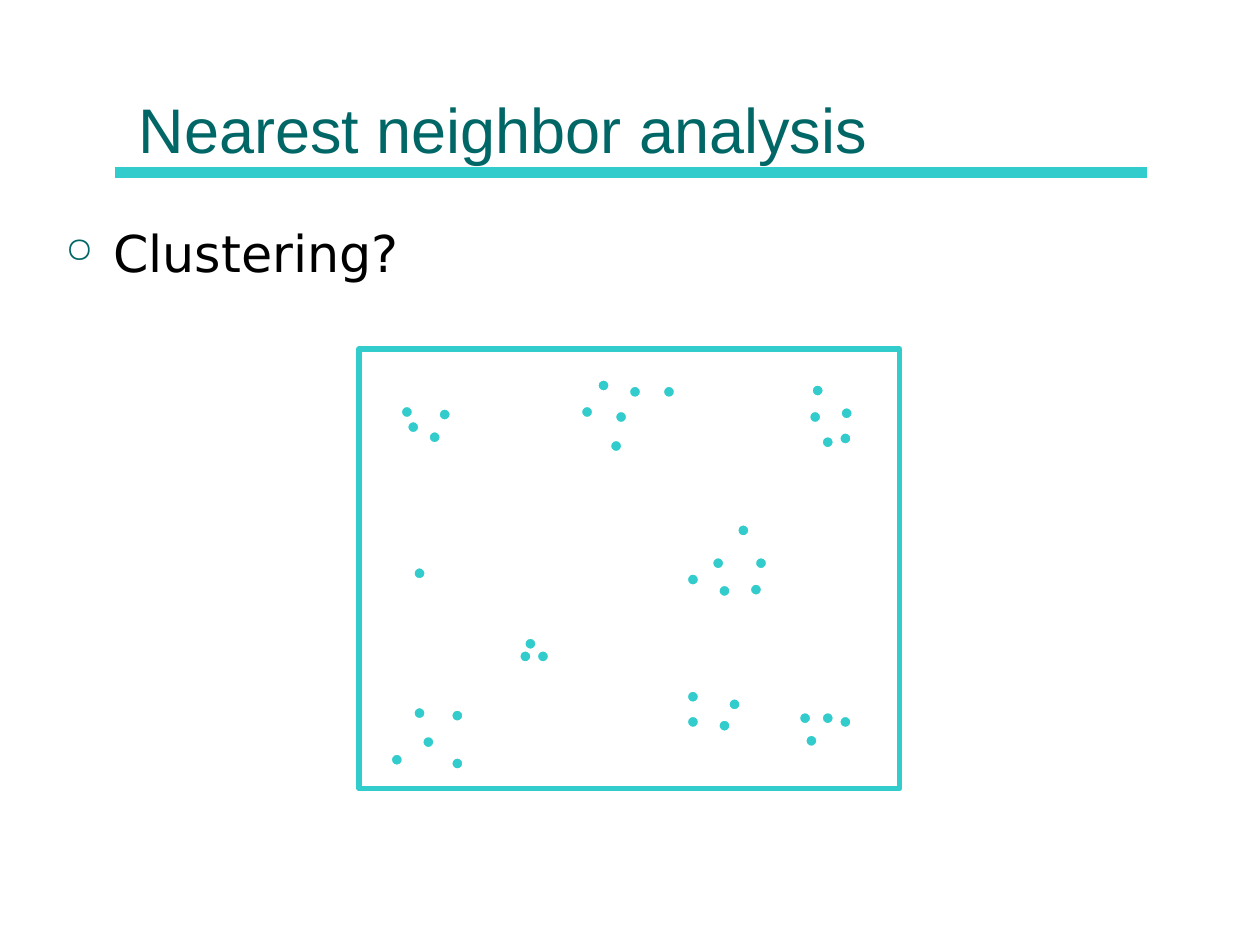
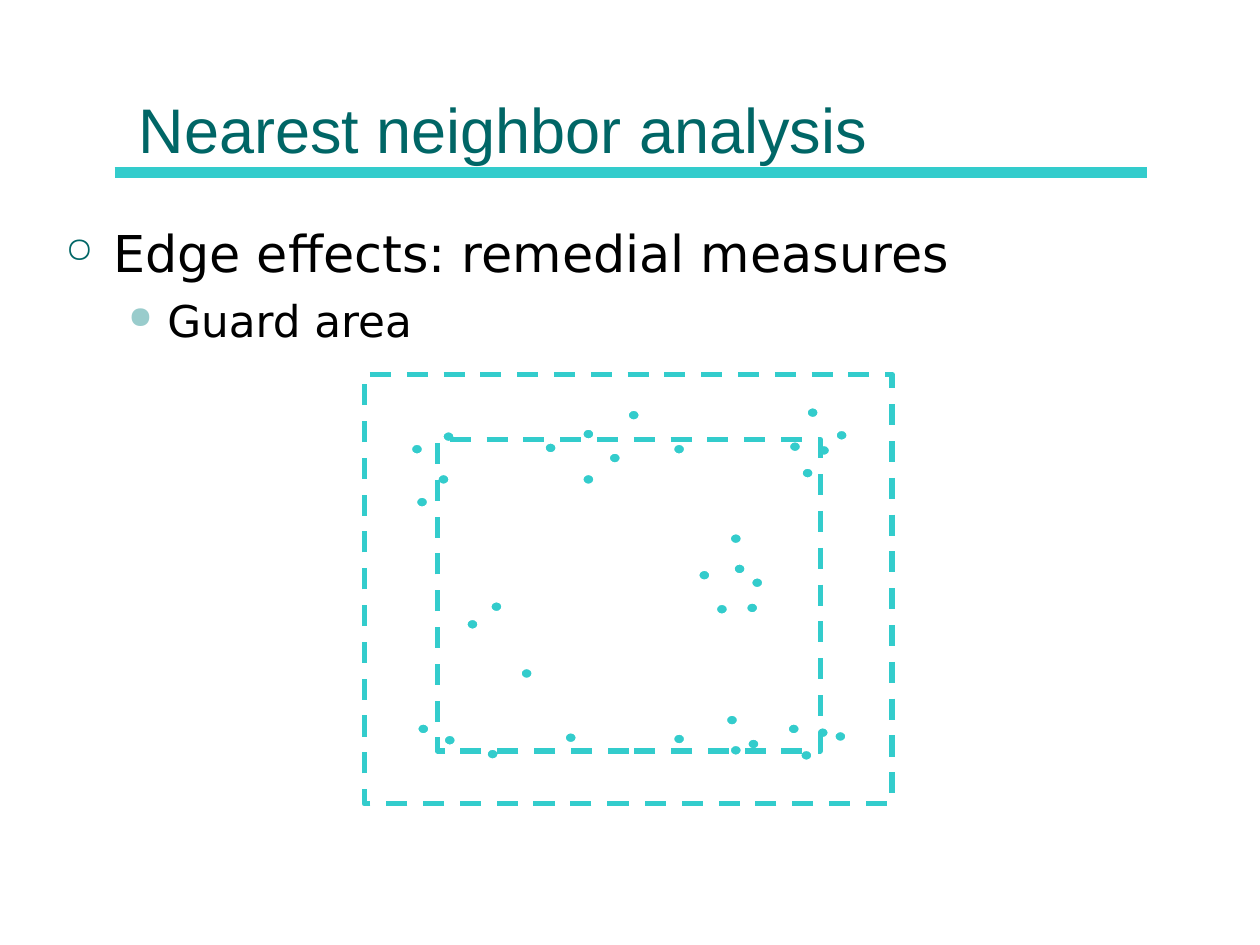
from dataclasses import dataclass

from lxml import etree
from pptx import Presentation
from pptx import util as u
from pptx.dml.color import RGBColor
from pptx.enum import dml, shapes, text
from pptx.oxml import ns


@dataclass(frozen=True)
class Theme:
    """Colours, fonts and sizes shared by the slides."""
    accent: str = "33CCCC"
    heading: str = "006666"
    sub_bullet: str = "99CCCC"
    ink: str = "000000"
    paper: str = "FFFFFF"
    title_font: str = "Arial"
    body_font: str = "DejaVu Sans"
    title_size: int = 36
    rule_width: float = 6
    frame_width: float = 3
    dot_outline: float = 1.5
    bullet_percent: int = 70


THEME = Theme()
LEVELS = [
    {"size": 29, "before": 0, "margin": 0.38, "indent": -0.38, "mark": "○", "color": THEME.heading},
    {"size": 25, "before": 6.2, "margin": 0.81, "indent": -0.31, "mark": "●", "color": THEME.sub_bullet},
]

CLUSTERED_DOTS = {
    "top left": [(3.18, 3.22), (3.48, 3.24), (3.23, 3.34), (3.4, 3.42)],
    "top centre": [(4.74, 3.01), (4.99, 3.06), (5.26, 3.06), (4.61, 3.22), (4.88, 3.26), (4.84, 3.49)],
    "top right": [(6.44, 3.05), (6.67, 3.23), (6.42, 3.26), (6.66, 3.43), (6.52, 3.46)],
    "middle left": [(3.28, 4.5)],
    "middle centre": [(4.16, 5.06), (4.12, 5.16), (4.26, 5.16)],
    "middle right": [(5.85, 4.16), (5.65, 4.42), (5.99, 4.42), (5.45, 4.55), (5.95, 4.63), (5.7, 4.64)],
    "bottom left": [(3.28, 5.61), (3.58, 5.63), (3.35, 5.84), (3.1, 5.98), (3.58, 6.01)],
    "bottom centre": [(5.45, 5.48), (5.78, 5.54), (5.45, 5.68), (5.7, 5.71)],
    "bottom right": [(6.34, 5.65), (6.52, 5.65), (6.66, 5.68), (6.39, 5.83)],
}
GUARDED_DOTS = {
    "top left": [(3.51, 3.42), (3.26, 3.52), (3.47, 3.76), (3.3, 3.94)],
    "top centre": [(4.98, 3.25), (4.62, 3.4), (4.32, 3.51), (5.34, 3.52), (4.83, 3.59), (4.62, 3.76)],
    "top right": [(6.4, 3.23), (6.63, 3.41), (6.26, 3.5), (6.49, 3.53), (6.36, 3.71)],
    "middle left": [(3.89, 4.77), (3.7, 4.91), (4.13, 5.3)],
    "middle right": [(5.79, 4.23), (5.82, 4.47), (5.54, 4.52), (5.96, 4.58), (5.92, 4.78), (5.68, 4.79)],
    "bottom left": [(3.31, 5.74), (3.52, 5.83), (3.86, 5.94), (4.48, 5.81)],
    "bottom centre": [(5.34, 5.82), (5.76, 5.67), (5.93, 5.86), (5.79, 5.91)],
    "bottom right": [(6.25, 5.74), (6.48, 5.77), (6.62, 5.8), (6.35, 5.95)],
}


def apply(target, formats):
    """Set each named attribute of the target."""
    for name, value in formats.items():
        setattr(target, name, value)


def color(value):
    """Turn a hex string into a colour."""
    return RGBColor.from_string(value)


def inches(*lengths):
    """Turn numbers into lengths in inches."""
    return [u.Inches(length) for length in lengths]


def write(paragraph, words, font, size, ink):
    """Add one formatted run to a paragraph."""
    run = paragraph.add_run()
    run.text = words
    apply(run.font, {"name": font, "size": u.Pt(size)})
    run.font.color.rgb = color(ink)


def add_rule(slide):
    """Draw the thick rule behind the title."""
    rule = slide.shapes.add_connector(shapes.MSO_CONNECTOR.STRAIGHT, *inches(0.91, 1.37, 9.1, 1.37))
    rule.line.width = u.Pt(THEME.rule_width)
    rule.line.color.rgb = color(THEME.accent)
    etree.SubElement(rule._element.spPr, ns.qn("a:effectLst"))
    slide.shapes.title._element.addprevious(rule._element)


def add_title(slide, words):
    """Place and fill the title placeholder."""
    title = slide.shapes.title
    apply(title, dict(zip(("left", "top", "width", "height"), inches(1, 0.12, 8, 1.25))))
    apply(title.text_frame, {
        "vertical_anchor": text.MSO_ANCHOR.BOTTOM,
        "auto_size": text.MSO_AUTO_SIZE.NONE,
        "word_wrap": True,
    })
    paragraph = title.text_frame.paragraphs[0]
    paragraph.alignment = text.PP_ALIGN.LEFT
    write(paragraph, words, THEME.title_font, THEME.title_size, THEME.heading)


def set_bullet(paragraph, level):
    """Give a paragraph its hanging bullet."""
    properties = paragraph._p.get_or_add_pPr()
    properties.set("marL", str(u.Inches(level["margin"])))
    properties.set("indent", str(u.Inches(level["indent"])))
    bullet_color = etree.SubElement(properties, ns.qn("a:buClr"))
    etree.SubElement(bullet_color, ns.qn("a:srgbClr"), val=level["color"])
    etree.SubElement(properties, ns.qn("a:buSzPct"), val=str(THEME.bullet_percent * 1000))
    etree.SubElement(properties, ns.qn("a:buChar"), char=level["mark"])


def add_bullets(slide, lines):
    """Write the lines, each one level below the last."""
    frame = slide.shapes.add_textbox(*inches(0.42, 1.71, 9.13, 4.5)).text_frame
    frame.word_wrap = True
    for depth, (words, level) in enumerate(zip(lines, LEVELS)):
        paragraph = frame.add_paragraph() if depth else frame.paragraphs[0]
        set_bullet(paragraph, level)
        apply(paragraph, {"level": depth, "space_before": u.Pt(level["before"])})
        write(paragraph, words, THEME.body_font, level["size"], THEME.ink)


def add_frame(slide, box, dash=None):
    """Outline a study area."""
    shape = slide.shapes.add_shape(shapes.MSO_SHAPE.RECTANGLE, *inches(*box))
    shape.shadow.inherit = False
    shape.fill.background()
    shape.line.color.rgb = color(THEME.accent)
    apply(shape.line, {"width": u.Pt(THEME.frame_width), "dash_style": dash})


def add_dots(slide, clusters, width, height):
    """Plot every point of the clusters."""
    for points in clusters.values():
        for left, top in points:
            dot = slide.shapes.add_shape(shapes.MSO_SHAPE.OVAL, *inches(left, top, width, height))
            dot.shadow.inherit = False
            dot.fill.solid()
            dot.fill.fore_color.rgb = color(THEME.accent)
            dot.line.color.rgb = color(THEME.paper)
            dot.line.width = u.Pt(THEME.dot_outline)


def add_analysis_slide(presentation, lines):
    """Add a slide with the shared title, rule and bullets."""
    slide = presentation.slides.add_slide(presentation.slide_layouts[5])
    add_rule(slide)
    add_title(slide, "Nearest neighbor analysis")
    add_bullets(slide, lines)
    return slide


def main():
    """Build the presentation."""
    presentation = Presentation()
    apply(presentation, {"slide_width": u.Inches(10), "slide_height": u.Inches(7.5)})

    clustering = add_analysis_slide(presentation, ["Clustering?"])
    add_dots(clustering, CLUSTERED_DOTS, 0.1, 0.1)
    add_frame(clustering, (2.85, 2.77, 4.29, 3.49))

    guard_area = add_analysis_slide(presentation, ["Edge effects: remedial measures", "Guard area"])
    add_dots(guard_area, GUARDED_DOTS, 0.1, 0.09)
    for box in [(3.47, 3.49, 3.04, 2.47), (2.89, 2.97, 4.19, 3.41)]:
        add_frame(guard_area, box, dml.MSO_LINE.DASH)

    presentation.save("out.pptx")


if __name__ == "__main__":
    main()
